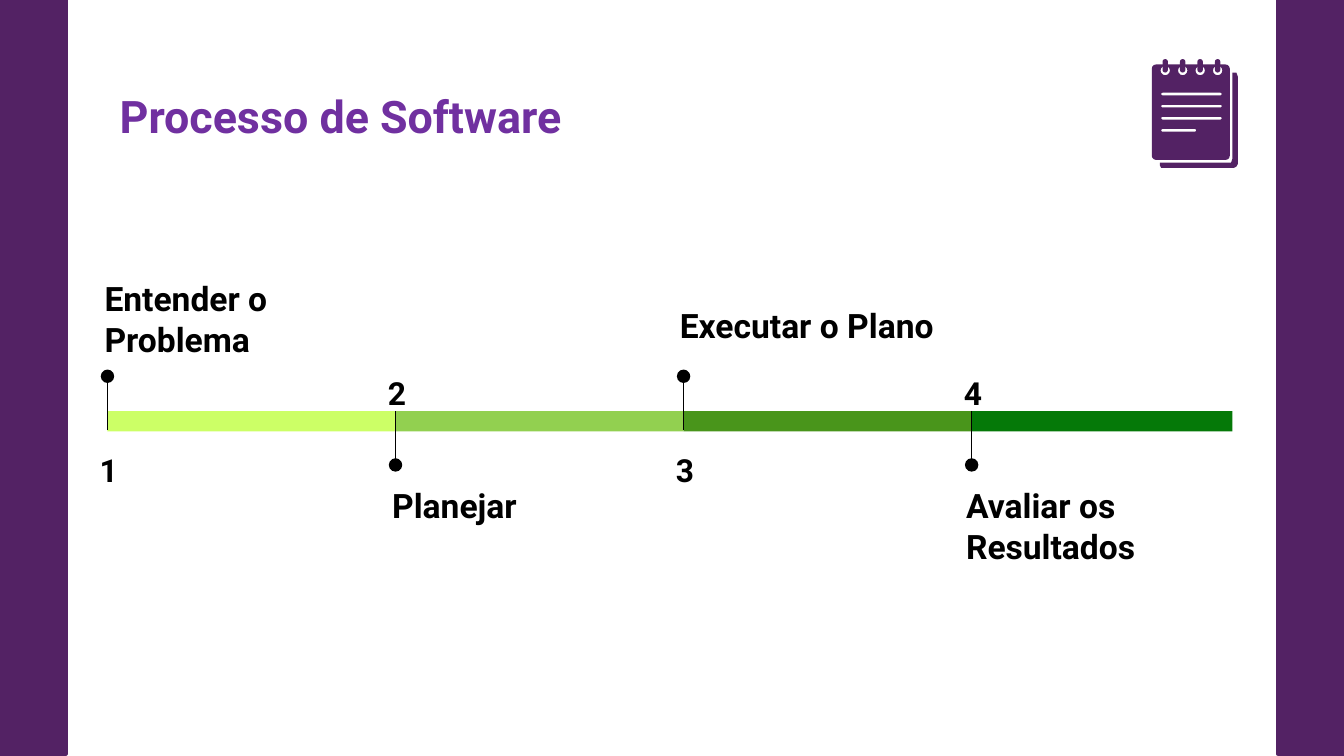
"""Build a slide with a four-stage timeline of the software process."""
import math
from dataclasses import dataclass

from lxml import etree
from pptx import Presentation
from pptx import util as u
from pptx.dml.color import RGBColor
from pptx.enum import shapes, text
from pptx.oxml.ns import qn

WIDTH = 10
HEIGHT = WIDTH * 9 / 16
FONT = "Roboto"
PURPLE = RGBColor(0x53, 0x22, 0x64)
VIOLET = RGBColor(0x70, 0x30, 0xA0)
BLACK = RGBColor(0x00, 0x00, 0x00)
LIME = RGBColor(0xCC, 0xFF, 0x66)
LIGHT_GREEN = RGBColor(0x92, 0xD0, 0x50)
GREEN = RGBColor(0x49, 0x95, 0x1B)
DARK_GREEN = RGBColor(0x05, 0x79, 0x08)

PANEL_WIDTH = 0.049 * WIDTH
TIMELINE_LEFT, TIMELINE_RIGHT, LAST_LEFT = 0.8, 9.17, 7.23
COLUMN = (LAST_LEFT - TIMELINE_LEFT) / 3
BAR_TOP, BAR_HEIGHT = 3.06, 0.15
DOT = 0.1
RING_LEFT, RING_PITCH, RINGS = 8.67, 0.13, 4


@dataclass(frozen=True)
class Stage:
    name: str
    name_left: float
    name_top: float
    fill: RGBColor
    above: bool


@dataclass(frozen=True)
class Box:
    left: float
    top: float
    width: float
    height: float

    def emu(self) -> list[int]:
        return [u.Inches(v) for v in (self.left, self.top, self.width, self.height)]

    def rounded(self, radius: float) -> list[tuple[float, float]]:
        """Return the outline of the box with rounded corners."""
        right, bottom = self.left + self.width, self.top + self.height
        centres = [(right - radius, bottom - radius), (self.left + radius, bottom - radius),
                   (self.left + radius, self.top + radius), (right - radius, self.top + radius)]
        return [(cx + radius * math.cos(math.radians(90 * corner + step)),
                 cy + radius * math.sin(math.radians(90 * corner + step)))
                for corner, (cx, cy) in enumerate(centres) for step in (0, 30, 60, 90)]


STAGES = [
    Stage("Entender o Problema", 0.68, 1.97, LIME, True),
    Stage("Planejar", 2.82, 3.51, LIGHT_GREEN, False),
    Stage("Executar o Plano", 4.96, 2.17, GREEN, True),
    Stage("Avaliar os Resultados", 7.09, 3.51, DARK_GREEN, False),
]


def paint(shape, color: RGBColor) -> None:
    """Give a shape a flat fill without outline or shadow."""
    shape.shadow.inherit = False
    shape.fill.solid()
    shape.fill.fore_color.rgb = color
    shape.line.fill.background()


def draw_shape(slide, kind, box: Box, color: RGBColor):
    """Draw a flat preset shape."""
    shape = slide.shapes.add_shape(kind, *box.emu())
    paint(shape, color)
    return shape


def draw_outline(slide, *contours: list[tuple[float, float]]) -> None:
    """Draw a purple freeform whose inner contours are holes."""
    paths = [[(u.Inches(x), u.Inches(y)) for x, y in contour] for contour in contours]
    builder = slide.shapes.build_freeform(*paths[0][0], scale=1.0)
    builder.add_line_segments(paths[0][1:])
    for path in paths[1:]:
        builder.move_to(*path[0])
        builder.add_line_segments(path[1:])
    paint(builder.convert_to_shape(), PURPLE)


def write(shape, words: str, size: float, color: RGBColor, align=text.PP_ALIGN.LEFT):
    """Write one bold paragraph and return it."""
    frame = shape.text_frame
    frame.word_wrap = True
    frame.auto_size = text.MSO_AUTO_SIZE.NONE
    frame.vertical_anchor = text.MSO_ANCHOR.TOP
    frame.margin_left = frame.margin_right = u.Inches(0.1)
    frame.margin_top = frame.margin_bottom = u.Inches(0.1)
    frame.text = words
    paragraph = frame.paragraphs[0]
    paragraph.alignment = align
    paragraph.font.name = FONT
    paragraph.font.size = u.Pt(size)
    paragraph.font.bold = True
    paragraph.font.color.rgb = color
    return paragraph


def draw_title(slide) -> None:
    """Place and format the title."""
    title = slide.shapes.title
    title.left, title.top, title.width, title.height = Box(0.79, 0.56, 5.47, 0.65).emu()
    write(title, "Processo de Software", 24, VIOLET)


def draw_panels(slide) -> None:
    """Draw the purple bands on both sides."""
    for left in (WIDTH - PANEL_WIDTH, 0):
        panel = draw_shape(slide, shapes.MSO_SHAPE.RECTANGLE,
                           Box(left, 0, PANEL_WIDTH, 5.61), PURPLE)
        panel.line.color.rgb = PURPLE
        panel.line.width = u.Pt(2)


def draw_notepad(slide) -> None:
    """Draw the notepad: back sheet, rings and ruled front sheet."""
    draw_outline(slide, [(9.17, 0.54), (9.17, 1.18), (9.16, 1.21), (9.14, 1.21), (8.63, 1.21),
                         (8.63, 1.23), (8.64, 1.25), (8.66, 1.25), (9.18, 1.25), (9.2, 1.24),
                         (9.21, 1.22), (9.21, 0.57), (9.2, 0.54), (9.18, 0.54)])
    centres = [RING_LEFT + RING_PITCH * ring for ring in range(RINGS)]
    for x in centres:
        draw_outline(slide, Box(x - 0.02, 0.44, 0.04, 0.1).rounded(0.02))
    holes = [Box(x - 0.035, 0.49, 0.07, 0.07).rounded(0.035) for x in centres]
    rules = [Box(8.64, 0.69 + 0.09 * row, width, 0.02).rounded(0.01)
             for row, width in enumerate((0.45, 0.45, 0.45, 0.26))]
    draw_outline(slide, Box(8.57, 0.48, 0.58, 0.71).rounded(0.03), *holes, *rules)


def draw_pin(slide, x: float, start: float, end: float) -> None:
    """Draw a pin whose head is at its start."""
    pin = slide.shapes.add_connector(shapes.MSO_CONNECTOR.STRAIGHT,
                                     *(u.Inches(v) for v in (x, start, x, end)))
    pin.line.color.rgb = BLACK
    pin.line.width = u.Pt(0.75)
    etree.SubElement(pin._element.spPr, qn("a:effectLst"))
    draw_shape(slide, shapes.MSO_SHAPE.OVAL, Box(x - DOT / 2, start - DOT / 2, DOT, DOT), BLACK)


def draw_stage(slide, index: int, stage: Stage) -> None:
    """Draw the bar, pin, number and name of one stage."""
    x = TIMELINE_LEFT + COLUMN * index
    width = min(COLUMN, TIMELINE_RIGHT - x)
    draw_shape(slide, shapes.MSO_SHAPE.RECTANGLE, Box(x, BAR_TOP, width, BAR_HEIGHT), stage.fill)
    if stage.above:
        draw_pin(slide, x, 2.8, 3.2)
    else:
        draw_pin(slide, x, 3.46, BAR_TOP)
    number = slide.shapes.add_textbox(*Box(x - 0.4, 3.21 if stage.above else 2.64, 0.82, 0.41).emu())
    paragraph = write(number, str(index + 1), 17, BLACK, text.PP_ALIGN.CENTER)
    paragraph.line_spacing = 1.15
    paragraph.space_after = u.Pt(16)
    name = slide.shapes.add_textbox(*Box(stage.name_left, stage.name_top, 2.46, 1.03).emu())
    write(name, stage.name, 18, BLACK)


def main() -> None:
    """Build and save the slide."""
    deck = Presentation()
    deck.slide_width, deck.slide_height = u.Inches(WIDTH), u.Inches(HEIGHT)
    slide = deck.slides.add_slide(deck.slide_layouts.get_by_name("Title Only"))
    draw_panels(slide)
    draw_notepad(slide)
    draw_title(slide)
    for index, stage in enumerate(STAGES):
        draw_stage(slide, index, stage)
    deck.save("out.pptx")


if __name__ == "__main__":
    main()
